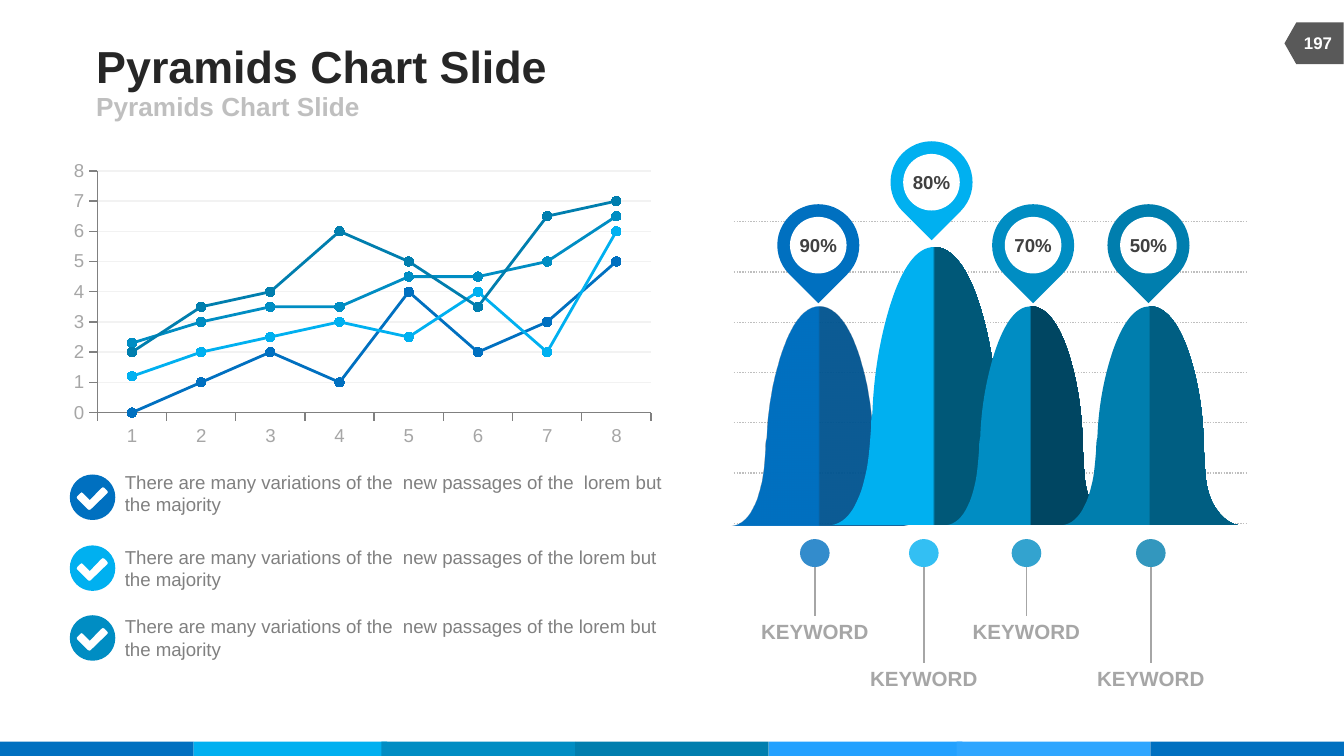
from dataclasses import dataclass

from lxml.etree import SubElement
from pptx import Presentation
from pptx.chart.data import CategoryChartData
from pptx.dml.color import RGBColor
from pptx.enum.chart import XL_CHART_TYPE as ChartType, XL_MARKER_STYLE as Marker
from pptx.enum.chart import XL_TICK_LABEL_POSITION as LabelPosition, XL_TICK_MARK as Tick
from pptx.enum.dml import MSO_LINE as Dash
from pptx.enum.shapes import MSO_CONNECTOR as Connector, MSO_SHAPE as Preset
from pptx.enum.text import MSO_ANCHOR as Anchor, PP_ALIGN as Align
from pptx.oxml.ns import qn
from pptx.util import Cm, Pt


@dataclass(frozen=True)
class Theme:
    font: str = "Arial"
    accents: tuple = ("0070C0", "00B0F0", "008DC3", "007EAE")
    shades: tuple = ("005490", "005878", "004662", "005E82")
    footer: tuple = accents + ("23A1FF", "2FA6FF", "0070C0")
    white: str = "FFFFFF"
    title: str = "262626"
    subtitle: str = "BFBFBF"
    tag: str = "595959"
    percent: str = "404040"
    body: str = "808080"
    muted: str = "A6A6A6"
    grid: str = "F2F2F2"
    title_size: int = 24
    subtitle_size: int = 14
    keyword_size: int = 11
    body_size: int = 10
    tag_size: int = 9


THEME = Theme()

BELL_UNITS = (1.55, 2.07)
BELL_CONTOUR = (
    (1.25, 1.47),
    (1.25, 1.66), (1.28, 1.80), (1.34, 1.90),
    (1.40, 2.00), (1.47, 2.06), (1.55, 2.07),
    (0, 2.07), (0, 2.07), (0, 2.07),
    (0.08, 2.06), (0.15, 2.00), (0.20, 1.88),
    (0.22, 1.84), (0.24, 1.78), (0.26, 1.69),
    (0.28, 1.61), (0.29, 1.49), (0.30, 1.35),
    (0.30, 1.31), (0.30, 1.28), (0.31, 1.24),
    (0.32, 0.94), (0.37, 0.67), (0.44, 0.44),
    (0.53, 0.15), (0.64, 0), (0.77, 0),
    (0.90, 0), (1.02, 0.15), (1.11, 0.44),
    (1.19, 0.70), (1.24, 1.01), (1.24, 1.37),
    (1.25, 1.40), (1.25, 1.43), (1.25, 1.47),
)
CIRCLE_CONTOUR = (
    (0.5, 1),
    (0.22, 1), (0, 0.78), (0, 0.5),
    (0, 0.22), (0.22, 0), (0.5, 0),
    (0.78, 0), (1, 0.22), (1, 0.5),
    (1, 0.78), (0.78, 1), (0.5, 1),
)
TICK_CORNERS = (
    (0.82, 0.35), (0.76, 0.29), (0.72, 0.28), (0.68, 0.31), (0.44, 0.56),
    (0.29, 0.41), (0.26, 0.39), (0.23, 0.41), (0.16, 0.48), (0.15, 0.50),
    (0.16, 0.53), (0.40, 0.77), (0.43, 0.78), (0.46, 0.77), (0.82, 0.42),
    (0.84, 0.39), (0.82, 0.35),
)
TICK_CONTOUR = TICK_CORNERS[:1] + tuple(
    corner for corner in TICK_CORNERS[1:] for _ in range(3))
BELLS = ((13.82, 5.79, 3.35), (15.7, 4.67, 3.94), (17.88, 5.79, 3.23), (20.07, 5.79, 3.35))
BELL_BASE = 9.93
PINS = ((14.69, 3.86, "90%"), (16.83, 2.67, "80%"), (18.75, 3.86, "70%"), (20.93, 3.86, "50%"))
KEYWORDS = ((15.4, 11.7), (17.46, 12.58), (19.4, 11.7), (21.75, 12.58))
BENEFITS = (
    (8.97, 8.9, "There are many variations of the  new passages of the  lorem but the majority"),
    (10.31, 10.31, "There are many variations of the  new passages of the lorem but the majority"),
    (11.63, 11.63, "There are many variations of the  new passages of the lorem but the majority"),
)
FOOTER_LEFTS = (0, 3.66, 7.21, 10.87, 14.53, 18.08, 21.74)
SERIES = (
    (0, 1, 2, 1, 4, 2, 3, 5),
    (1.2, 2, 2.5, 3, 2.5, 4, 2, 6),
    (2.3, 3, 3.5, 3.5, 4.5, 4.5, 5, 6.5),
    (2, 3.5, 4, 6, 5, 3.5, 6.5, 7),
)


def rgb(value):
    return RGBColor.from_string(value)


def set_opacity(shape, color, percent):
    for node in shape._element.spPr.iter(qn("a:srgbClr")):
        if node.get("val") == color:
            SubElement(node, qn("a:alpha"), val=str(percent * 1000))


def write(shape, text, size, color, bold=True, align=Align.LEFT, anchor=Anchor.TOP, wrap=False):
    frame = shape.text_frame
    frame.text = text
    frame.word_wrap = wrap
    frame.vertical_anchor = anchor
    frame.margin_left = frame.margin_right = frame.margin_top = frame.margin_bottom = 0
    paragraph = frame.paragraphs[0]
    paragraph.alignment = align
    font = paragraph.runs[0].font
    font.name, font.size, font.bold = THEME.font, Pt(size), bold
    font.color.rgb = rgb(color)


def add_label(slide, left, top, width, height, *content, **style):
    box = slide.shapes.add_textbox(Cm(left), Cm(top), Cm(width), Cm(height))
    write(box, *content, **style)


def add_filled(slide, preset, left, top, width, height, color, rotation=0):
    shape = slide.shapes.add_shape(preset, Cm(left), Cm(top), Cm(width), Cm(height))
    shape.shadow.inherit = False
    shape.fill.solid()
    shape.fill.fore_color.rgb = rgb(color)
    shape.line.fill.background()
    shape.rotation = rotation
    return shape


def add_rule(slide, start, end, color, dash=None):
    rule = slide.shapes.add_connector(Connector.STRAIGHT, *map(Cm, start + end))
    rule.line.color.rgb = rgb(color)
    rule.line.width = Pt(0.75)
    if dash:
        rule.line.dash_style = dash
    SubElement(rule._element.spPr, qn("a:effectLst"))


def bend_segments(outline):
    segments = list(outline._element.spPr.iter(qn("a:lnTo")))
    for first, second, third in zip(segments[::3], segments[1::3], segments[2::3]):
        first.tag = qn("a:cubicBezTo")
        for segment in (second, third):
            first.append(segment[0])
            segment.getparent().remove(segment)


def add_outline(slide, left, top, width, height, contours):
    scaled = [[(Cm(left + x * width), Cm(top + y * height)) for x, y in contour]
              for contour in contours]
    builder = slide.shapes.build_freeform(*scaled[0][0], scale=1.0)
    builder.add_line_segments(scaled[0][1:], close=True)
    for contour in scaled[1:]:
        builder.move_to(*contour[0])
        builder.add_line_segments(contour[1:], close=True)
    outline = builder.convert_to_shape()
    bend_segments(outline)
    outline.shadow.inherit = False
    outline.line.fill.background()
    return outline


def add_bell(slide, left, top, width, color, shade):
    across, down = BELL_UNITS
    bell = add_outline(slide, left, top, width / across, (BELL_BASE - top) / down, [BELL_CONTOUR])
    bell.fill.gradient()
    bell.fill.gradient_angle = 0
    for stop, position, tone in zip(bell.fill.gradient_stops, (0.49, 0.5), (color, shade)):
        stop.position = position
        stop.color.rgb = rgb(tone)
    return bell


def add_pin(slide, left, top, percent, color):
    add_filled(slide, Preset.TEAR, left, top, 1.55, 1.55, color, rotation=135)
    disc = add_filled(slide, Preset.OVAL, left + 0.24, top + 0.24, 1.07, 1.07, THEME.white)
    write(disc, percent, THEME.body_size, THEME.percent, align=Align.CENTER, anchor=Anchor.MIDDLE)


def add_keyword(slide, center, top, color):
    dot = add_filled(slide, Preset.OVAL, center - 0.28, 10.19, 0.56, 0.53, color)
    set_opacity(dot, color, 80)
    add_rule(slide, (center, 10.72), (center, top - 0.05), THEME.muted)
    add_label(slide, center - 1.03, top, 2.06, 0.48, "KEYWORD", THEME.keyword_size,
              THEME.muted, align=Align.CENTER)


def add_benefit(slide, badge_top, text_top, text, color):
    badge = add_outline(slide, 1.32, badge_top, 0.86, 0.86, [CIRCLE_CONTOUR, TICK_CONTOUR])
    badge.fill.solid()
    badge.fill.fore_color.rgb = rgb(color)
    add_label(slide, 2.36, text_top, 10.19, 0.86, text, THEME.body_size, THEME.body,
              bold=False, wrap=True)


def add_trend_chart(slide):
    trend = CategoryChartData()
    trend.categories = [str(number) for number in range(1, 9)]
    for number, values in enumerate(SERIES, 1):
        trend.add_series(f"Series {number}", values)
    chart = slide.shapes.add_chart(ChartType.LINE_MARKERS, Cm(1.17), Cm(2.92),
                                   Cm(11.36), Cm(5.64), trend).chart
    chart.has_legend = chart.has_title = False
    chart.font.name, chart.font.size = THEME.font, Pt(THEME.body_size)
    chart.font.color.rgb = rgb(THEME.muted)
    for axis in (chart.category_axis, chart.value_axis):
        axis.major_tick_mark = Tick.OUTSIDE
        axis.format.line.color.rgb = rgb(THEME.body)
    chart.category_axis.tick_label_position = LabelPosition.LOW
    scale = chart.value_axis
    scale.minimum_scale, scale.maximum_scale, scale.major_unit = 0, 8, 1
    scale.major_gridlines.format.line.color.rgb = rgb(THEME.grid)
    scale.major_gridlines.format.line.width = Pt(0.75)
    chart.plots[0].vary_by_categories = False
    for series, color in zip(chart.plots[0].series, THEME.accents):
        series.smooth = False
        series.format.line.color.rgb = rgb(color)
        series.format.line.width = Pt(1.5)
        series.marker.style, series.marker.size = Marker.CIRCLE, 5
        series.marker.format.fill.solid()
        series.marker.format.fill.fore_color.rgb = rgb(color)
        series.marker.format.line.color.rgb = rgb(color)


def main():
    deck = Presentation()
    deck.slide_width, deck.slide_height = Cm(25.4), Cm(14.29)
    slide = deck.slides.add_slide(deck.slide_layouts[6])
    for left, color in zip(FOOTER_LEFTS, THEME.footer):
        add_filled(slide, Preset.RECTANGLE, left, 14.02, 3.66, 0.27, color)
    add_filled(slide, Preset.FLOWCHART_OFFPAGE_CONNECTOR, 24.44, 0.26, 0.79, 1.12,
               THEME.tag, rotation=90)
    add_label(slide, 24.42, 0.43, 0.98, 0.76, "197", THEME.tag_size, THEME.white,
              align=Align.CENTER, anchor=Anchor.MIDDLE)
    add_label(slide, 1.82, 0.74, 15.67, 0.99, "Pyramids Chart Slide", THEME.title_size,
              THEME.title, anchor=Anchor.MIDDLE)
    add_label(slide, 1.82, 1.73, 11.43, 0.56, "Pyramids Chart Slide", THEME.subtitle_size,
              THEME.subtitle, anchor=Anchor.MIDDLE)
    for row in range(7):
        level = 4.19 + row * 0.95
        add_rule(slide, (13.87, level), (23.57, level), THEME.subtitle, Dash.ROUND_DOT)
    bells = [add_bell(slide, *bell, color, shade)
             for bell, color, shade in zip(BELLS, THEME.accents, THEME.shades)]
    set_opacity(bells[0], THEME.shades[0], 95)
    for pin, keyword, color in zip(PINS, KEYWORDS, THEME.accents):
        add_pin(slide, *pin, color)
        add_keyword(slide, *keyword, color)
    add_trend_chart(slide)
    for benefit, color in zip(BENEFITS, THEME.accents):
        add_benefit(slide, *benefit, color)
    deck.save("out.pptx")


if __name__ == "__main__":
    main()
